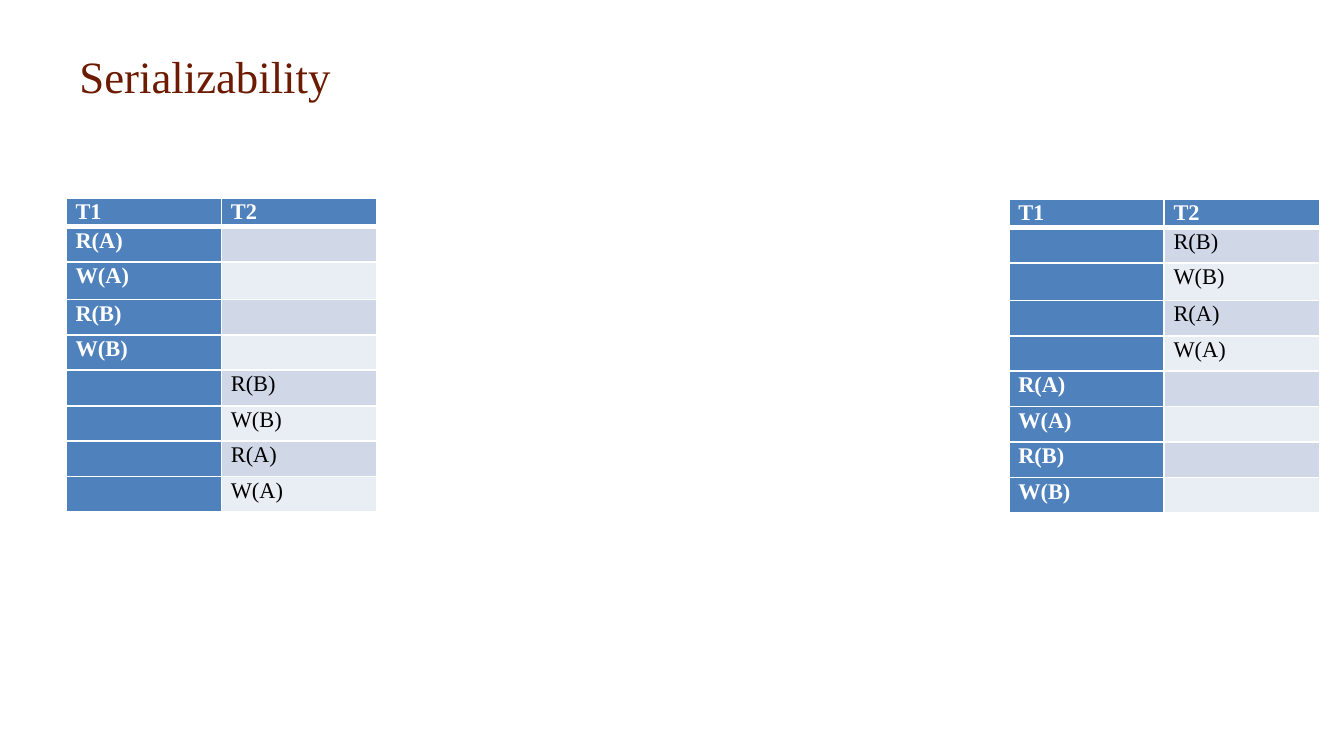
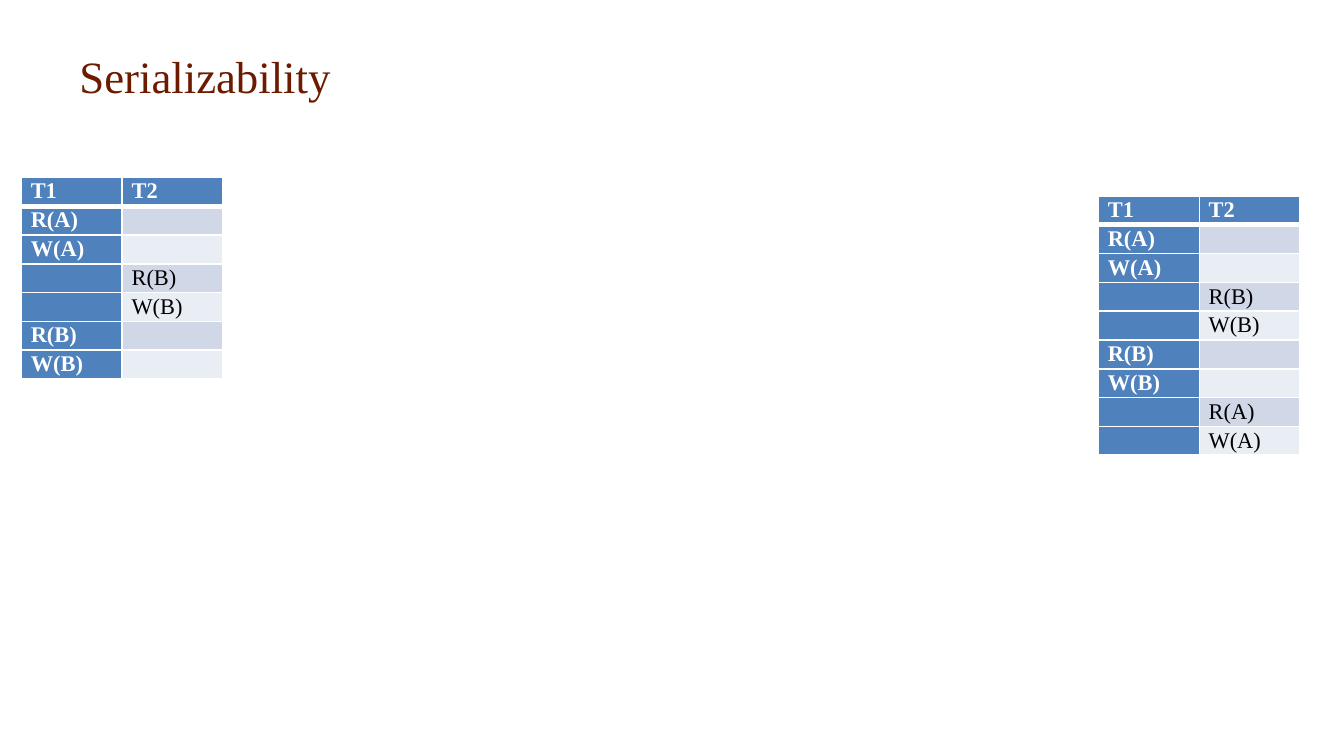
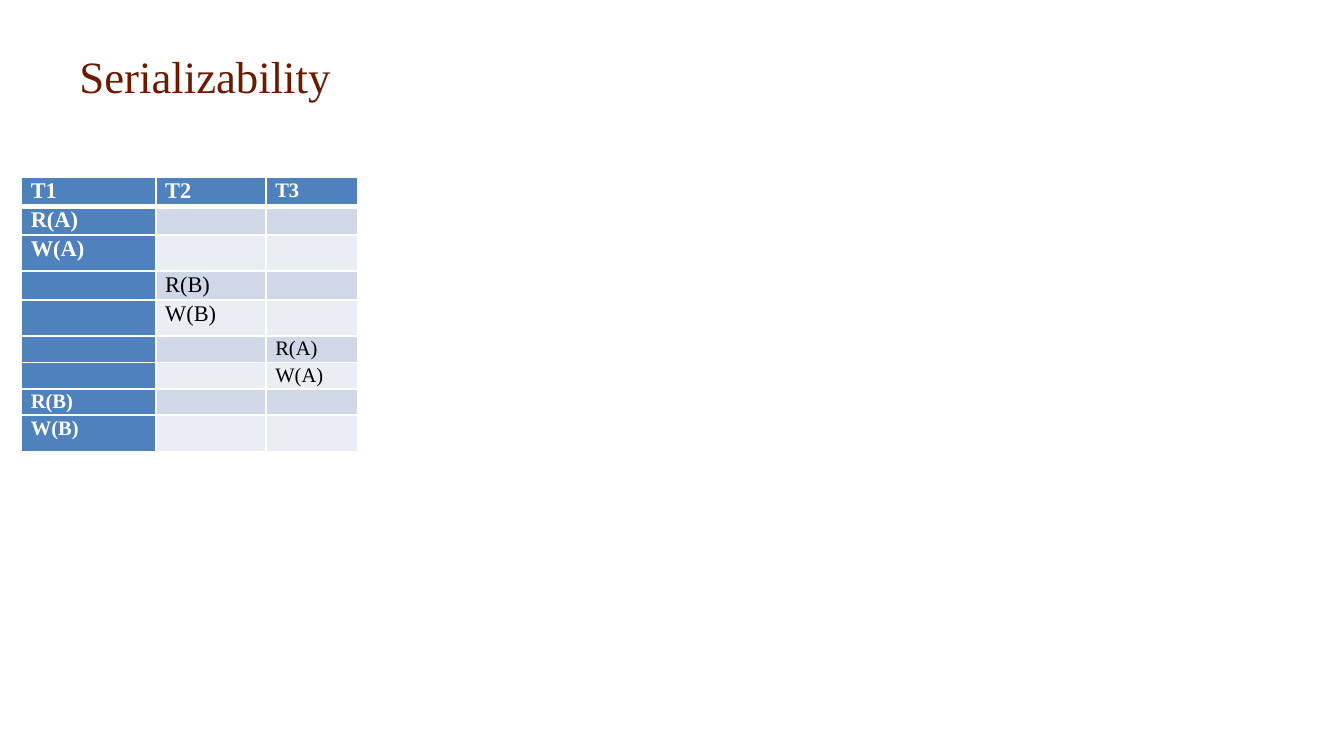
from dataclasses import dataclass

from pptx import Presentation
from pptx.dml.color import RGBColor
from pptx.enum.text import MSO_ANCHOR
from pptx.oxml.xmlchemy import OxmlElement
from pptx.slide import Slide
from pptx.table import _Cell as Cell
from pptx.util import Pt

FONT = "Times New Roman"
COLORS = {
    "title": "6C1A00",
    "header": "4F81BD",
    "band_odd": "D0D8E8",
    "band_even": "E9EDF4",
    "border": "FFFFFF",
    "header_text": "FFFFFF",
    "body_text": "000000",
}
TITLE = "Serializability"
CELL_MARGIN = 5
THIN, THICK = 1, 3


@dataclass(frozen=True)
class Step:
    """One operation of the transaction with the given number."""
    transaction: int
    operation: str
    size: float = 12


@dataclass(frozen=True)
class Schedule:
    left: float
    top: float
    col_widths: tuple[float, ...]
    row_heights: tuple[float, ...]
    steps: tuple[Step, ...]


def steps_of(transaction: int, items: str, size: float = 12) -> tuple[Step, ...]:
    """Read then write each item in turn."""
    return tuple(Step(transaction, f"{action}({item})", size)
                 for item in items for action in "RW")


WIDE_COLS = (83.2, 83.2)
WIDE_ROWS = (5, 19, 20) + (19,) * 6
NARROW_COLS = (54, 54)
NARROW_ROWS = (11.5, 15, 15.5, 15, 15, 15, 15)
INTERLEAVED = steps_of(1, "A") + steps_of(2, "B") + steps_of(1, "B")

SLIDES = (
    (
        Schedule(35.5, 106, WIDE_COLS, WIDE_ROWS,
                 steps_of(1, "AB") + steps_of(2, "BA")),
        Schedule(540.5, 106.5, WIDE_COLS, WIDE_ROWS,
                 steps_of(2, "BA") + steps_of(1, "AB")),
    ),
    (
        Schedule(11.5, 95, NARROW_COLS, NARROW_ROWS, INTERLEAVED),
        Schedule(588.5, 105, NARROW_COLS, NARROW_ROWS + (15, 15),
                 INTERLEAVED + steps_of(2, "A")),
    ),
    (
        Schedule(11.5, 95, (72, 59, 49),
                 (13, 13, 19.4, 13, 19.4, 12, 12, 11.5, 19.4),
                 steps_of(1, "A") + steps_of(2, "B")
                 + steps_of(3, "A", 11) + steps_of(1, "B", 11)),
    ),
)


def rgb(name: str) -> RGBColor:
    return RGBColor.from_string(COLORS[name])


def add_title(slide: Slide) -> None:
    box = slide.shapes.add_textbox(Pt(35.5), Pt(10), Pt(649), Pt(60.5))
    tf = box.text_frame
    tf.word_wrap = True
    tf.vertical_anchor = MSO_ANCHOR.MIDDLE
    r = tf.paragraphs[0].add_run()
    r.text = TITLE
    r.font.name, r.font.size = FONT, Pt(24)
    r.font.color.rgb = rgb("title")


def set_borders(cell: Cell, top: float, bottom: float) -> None:
    tc_pr = cell._tc.get_or_add_tcPr()
    widths = {"L": THIN, "R": THIN, "T": top, "B": bottom}
    for side, width in widths.items():
        ln = OxmlElement(f"a:ln{side}")
        ln.set("w", str(Pt(width)))
        fill = OxmlElement("a:solidFill")
        color = OxmlElement("a:srgbClr")
        color.set("val", COLORS["border"])
        fill.append(color)
        ln.append(fill)
        tc_pr.append(ln)


def style_cell(cell: Cell, row: int, col: int) -> None:
    set_borders(cell, THICK if row == 1 else THIN, THICK if row == 0 else THIN)
    if row == 0 or col == 0:
        fill = "header"
    else:
        fill = "band_odd" if row % 2 else "band_even"
    cell.fill.solid()
    cell.fill.fore_color.rgb = rgb(fill)
    cell.margin_left = cell.margin_right = Pt(CELL_MARGIN)
    cell.margin_top = cell.margin_bottom = Pt(0)


def write_cell(cell: Cell, text: str, size: float, header: bool) -> None:
    p = cell.text_frame.paragraphs[0]
    p.line_spacing, p.space_after = 1.07, Pt(8)
    r = p.add_run()
    r.text = text
    r.font.name, r.font.size, r.font.bold = FONT, Pt(size), header
    r.font.color.rgb = rgb("header_text" if header else "body_text")


def keep_low(cell: Cell) -> None:
    """Stop an empty cell from stretching its row."""
    end = cell.text_frame.paragraphs[0]._p.get_or_add_endParaRPr()
    end.set("sz", "800")


def add_schedule(slide: Slide, schedule: Schedule) -> None:
    widths, heights = schedule.col_widths, schedule.row_heights
    table = slide.shapes.add_table(
        len(heights), len(widths), Pt(schedule.left), Pt(schedule.top),
        Pt(sum(widths)), Pt(sum(heights))).table
    table.horz_banding = False
    for column, width in zip(table.columns, widths):
        column.width = Pt(width)
    for row, height in zip(table.rows, heights):
        row.height = Pt(height)

    for row in range(len(heights)):
        for col in range(len(widths)):
            cell = table.cell(row, col)
            style_cell(cell, row, col)
            if row == 0:
                write_cell(cell, f"T{col + 1}", 11 if col == 2 else 12, True)
                continue
            step = schedule.steps[row - 1]
            if step.transaction == col + 1:
                write_cell(cell, step.operation, step.size, col == 0)
            else:
                keep_low(cell)


def main() -> None:
    prs = Presentation()
    prs.slide_width, prs.slide_height = Pt(720), Pt(405)
    for schedules in SLIDES:
        slide = prs.slides.add_slide(prs.slide_layouts[6])
        add_title(slide)
        for schedule in schedules:
            add_schedule(slide, schedule)
    prs.save("out.pptx")


if __name__ == "__main__":
    main()
